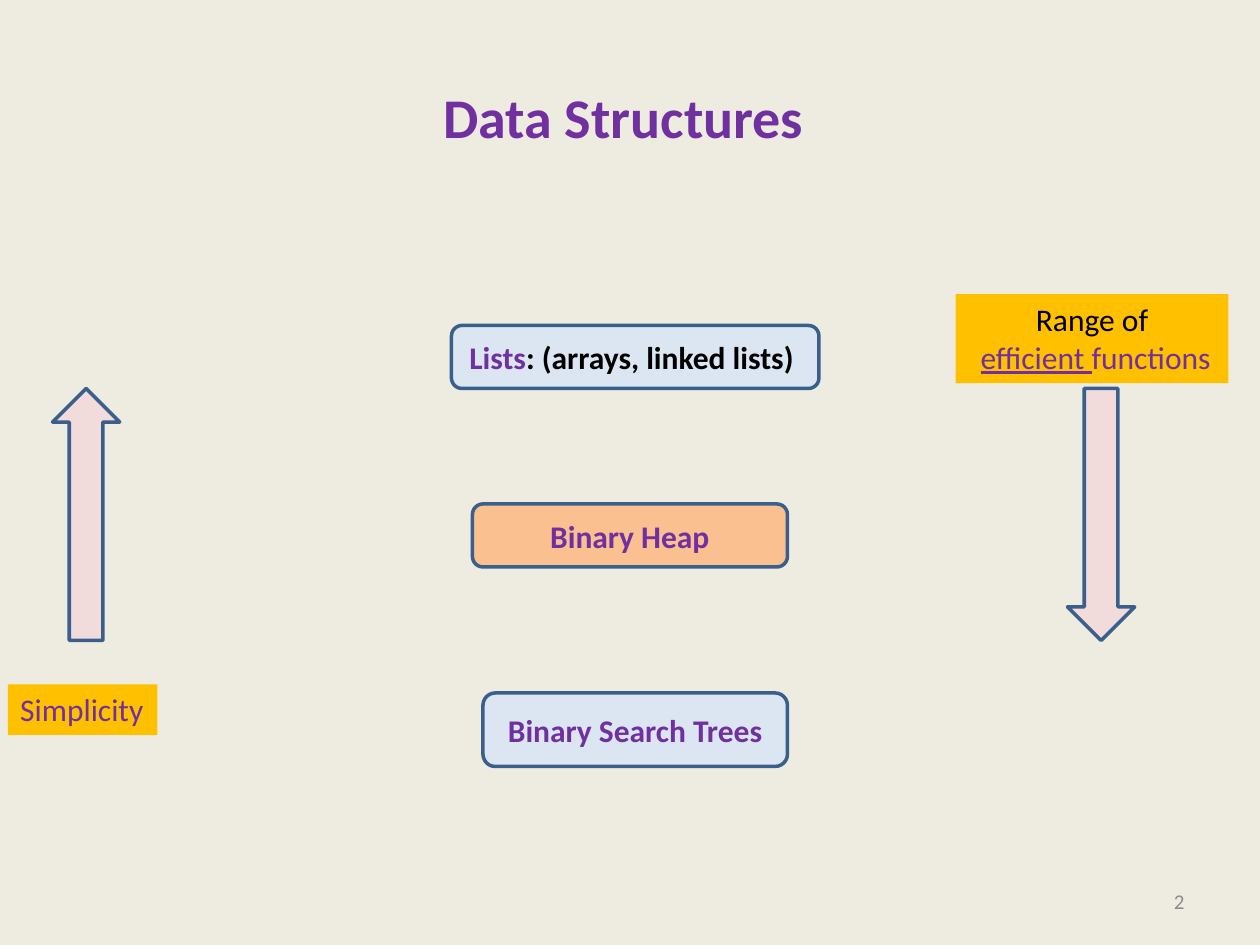
from dataclasses import dataclass

from pptx import Presentation
from pptx.dml.color import RGBColor
from pptx.enum.shapes import MSO_SHAPE
from pptx.enum.text import MSO_ANCHOR, PP_ALIGN
from pptx.slide import Slide
from pptx.text.text import TextFrame
from pptx.util import Pt

CREAM = RGBColor(0xEE, 0xEC, 0xE1)
PURPLE = RGBColor(0x70, 0x30, 0xA0)
BLACK = RGBColor(0, 0, 0)
GRAY = RGBColor(0x8C, 0x8C, 0x8C)
NAVY = RGBColor(0x3A, 0x5F, 0x8C)
BLUE = RGBColor(0xDC, 0xE6, 0xF2)
PEACH = RGBColor(0xFA, 0xC0, 0x90)
PINK = RGBColor(0xF2, 0xDC, 0xDB)
GOLD = RGBColor(0xFF, 0xC0, 0x00)


@dataclass(frozen=True)
class Run:
    text: str
    color: RGBColor = PURPLE
    under: bool = False


Lines = list[list[Run]]


@dataclass(frozen=True)
class Area:
    left: float
    top: float
    width: float
    height: float

    def points(self) -> tuple[Pt, Pt, Pt, Pt]:
        return Pt(self.left), Pt(self.top), Pt(self.width), Pt(self.height)


@dataclass(frozen=True)
class Node:
    area: Area
    fill: RGBColor
    runs: list[Run]


@dataclass(frozen=True)
class Arrow:
    kind: MSO_SHAPE
    left: float


@dataclass(frozen=True)
class Label:
    area: Area
    lines: Lines
    align: PP_ALIGN
    wrap: bool


NODES = [
    Node(Area(258, 186, 210, 36), BLUE,
         [Run("Lists"), Run(": (arrays, linked lists) ", BLACK)]),
    Node(Area(270, 288, 180, 36), PEACH, [Run("Binary Heap")]),
    Node(Area(276, 396, 174, 42), BLUE, [Run("Binary Search Trees")]),
]
ARROWS = [Arrow(MSO_SHAPE.UP_ARROW, 30), Arrow(MSO_SHAPE.DOWN_ARROW, 610)]
LABELS = [
    Label(Area(4.5, 391, 85.5, 29), [[Run("Simplicity")]], PP_ALIGN.LEFT, False),
    Label(Area(546, 168, 156, 51),
          [[Run("Range of", BLACK)],
           [Run(" ", BLACK), Run("efficient ", under=True), Run("functions")]],
          PP_ALIGN.CENTER, True),
]


def write(frame: TextFrame, lines: Lines, size: float = 18, bold: bool = False,
          align: PP_ALIGN = PP_ALIGN.CENTER, anchor: MSO_ANCHOR = MSO_ANCHOR.MIDDLE,
          wrap: bool = True) -> None:
    frame.word_wrap = wrap
    frame.vertical_anchor = anchor
    for i, runs in enumerate(lines):
        para = frame.add_paragraph() if i else frame.paragraphs[0]
        para.alignment = align
        para.font.name, para.font.size, para.font.bold = "Calibri", Pt(size), bold
        for item in runs:
            run = para.add_run()
            run.text = item.text
            run.font.color.rgb = item.color
            if item.under:
                run.font.underline = True


def outline(slide: Slide, kind: MSO_SHAPE, area: Area, fill: RGBColor) -> TextFrame:
    """Add a filled shape with a navy edge and return its text frame."""
    shape = slide.shapes.add_shape(kind, *area.points())
    shape.shadow.inherit = False
    shape.fill.solid()
    shape.fill.fore_color.rgb = fill
    shape.line.color.rgb = NAVY
    shape.line.width = Pt(2)
    return shape.text_frame


def add_label(slide: Slide, label: Label) -> None:
    box = slide.shapes.add_textbox(*label.area.points())
    box.fill.solid()
    box.fill.fore_color.rgb = GOLD
    write(box.text_frame, label.lines, align=label.align,
          anchor=MSO_ANCHOR.TOP, wrap=label.wrap)


def main() -> None:
    deck = Presentation()
    deck.slide_width, deck.slide_height = Pt(720), Pt(540)
    slide = deck.slides.add_slide(deck.slide_layouts[6])
    slide.background.fill.solid()
    slide.background.fill.fore_color.rgb = CREAM

    title = slide.shapes.add_textbox(*Area(36, 21.6, 648, 90).points())
    write(title.text_frame, [[Run("Data Structures ")]], size=32, bold=True)
    number = slide.shapes.add_textbox(*Area(516, 500.4, 168, 28.8).points())
    write(number.text_frame, [[Run("2", GRAY)]], size=12, align=PP_ALIGN.RIGHT)

    for node in NODES:
        frame = outline(slide, MSO_SHAPE.ROUNDED_RECTANGLE, node.area, node.fill)
        write(frame, [node.runs], bold=True)
    for arrow in ARROWS:
        outline(slide, arrow.kind, Area(arrow.left, 222, 38.4, 144), PINK)
    for label in LABELS:
        add_label(slide, label)

    deck.save("out.pptx")


if __name__ == "__main__":
    main()
